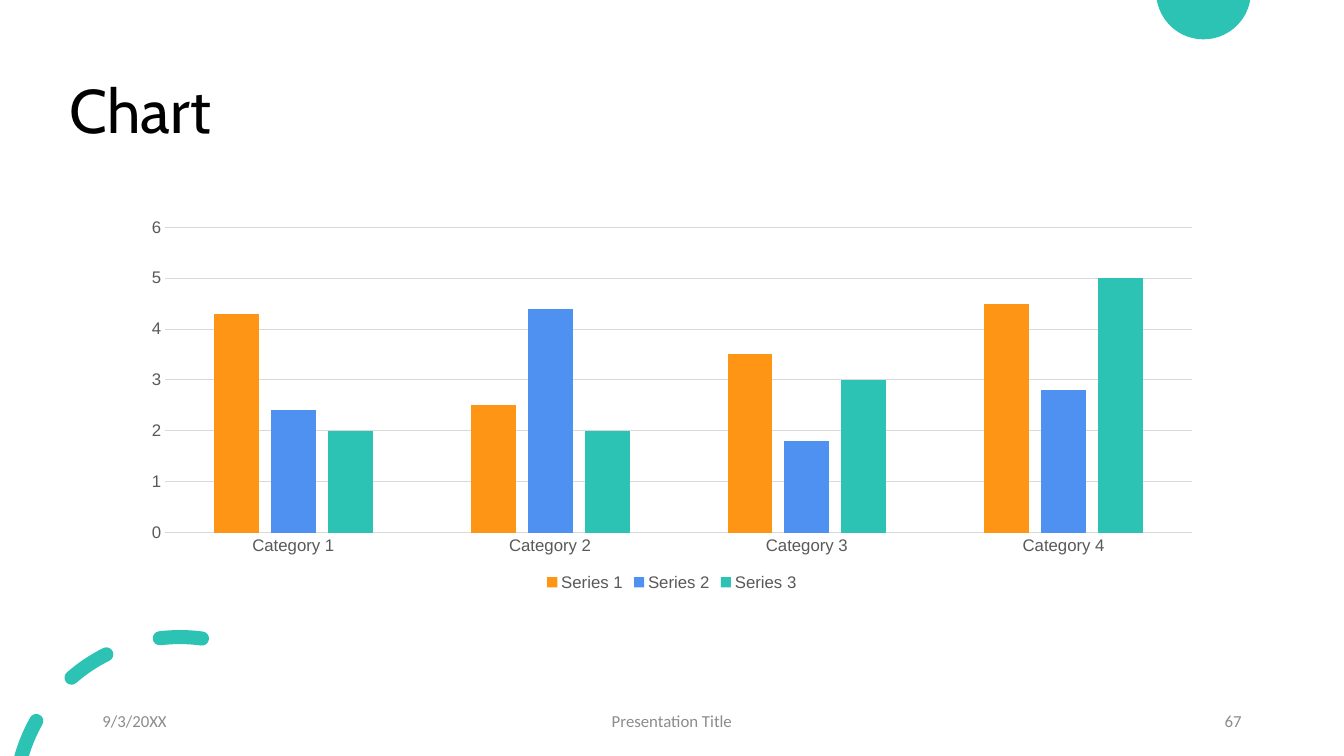
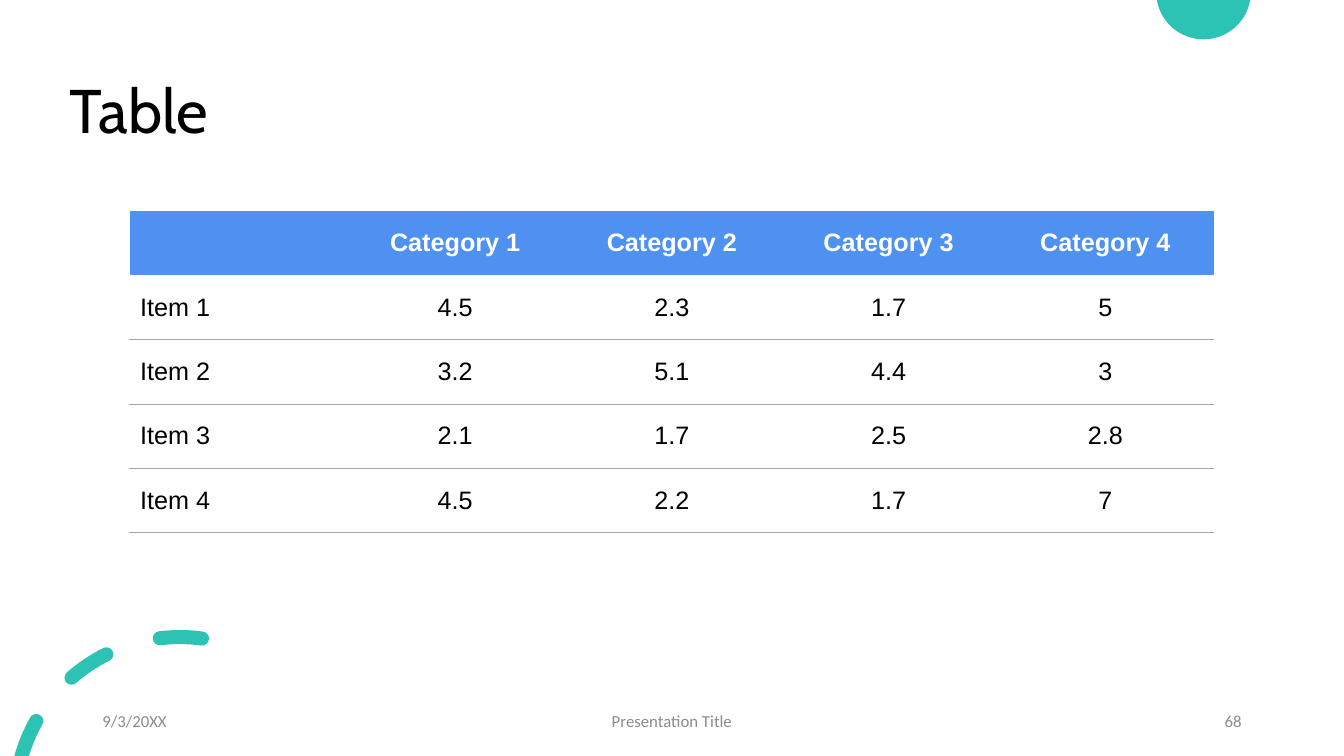
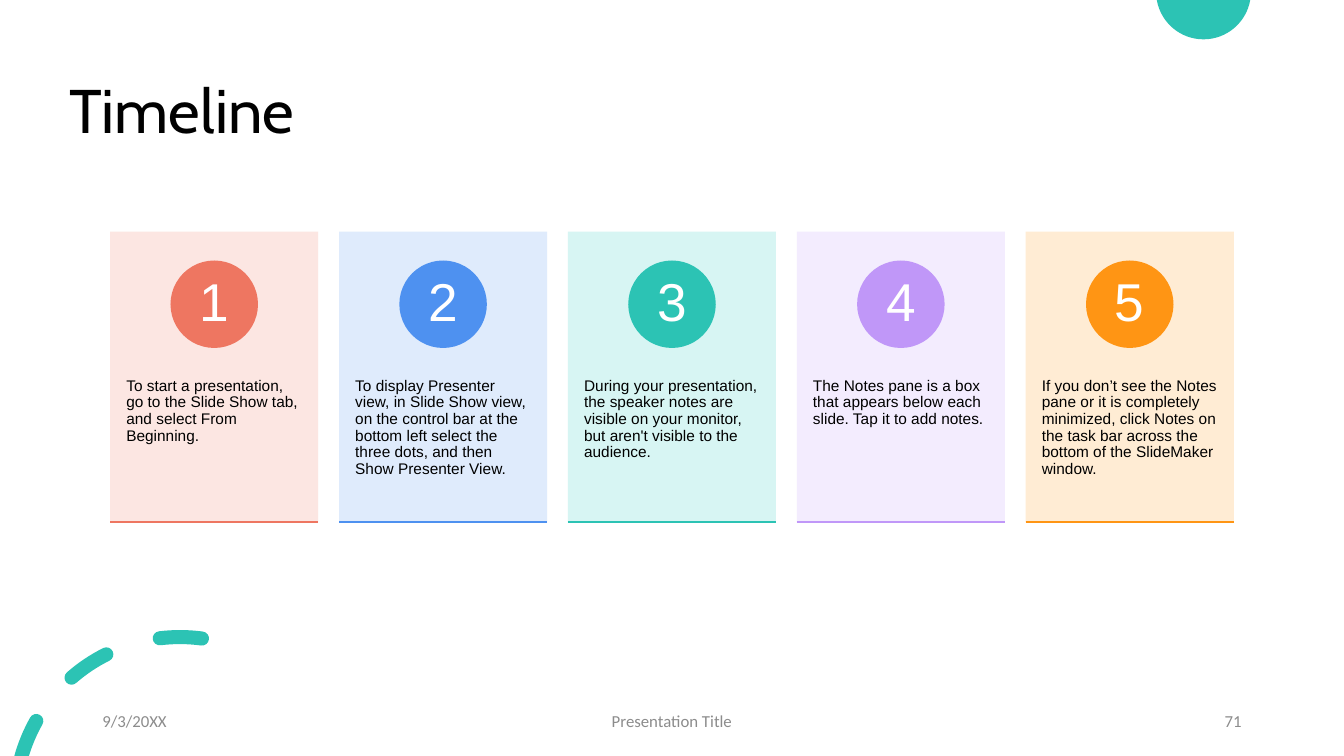
from dataclasses import dataclass
from math import acos, cos, degrees, radians, sin, tan

from lxml import etree
from pptx import Presentation
from pptx.chart.data import CategoryChartData
from pptx.dml.color import RGBColor
from pptx.enum.chart import XL_CHART_TYPE, XL_LEGEND_POSITION, XL_TICK_MARK
from pptx.enum.shapes import MSO_CONNECTOR, MSO_SHAPE
from pptx.enum.text import MSO_ANCHOR, MSO_AUTO_SIZE, PP_ALIGN
from pptx.oxml.ns import qn
from pptx.slide import Slide, SlideLayout
from pptx.text.text import Font, TextFrame
from pptx.util import Emu, Inches, Pt

LEFT, CENTER, RIGHT = PP_ALIGN.LEFT, PP_ALIGN.CENTER, PP_ALIGN.RIGHT
TOP, MIDDLE = MSO_ANCHOR.TOP, MSO_ANCHOR.MIDDLE
NO_AUTO_SIZE = MSO_AUTO_SIZE.NONE
RECTANGLE, OVAL = MSO_SHAPE.RECTANGLE, MSO_SHAPE.OVAL
STRAIGHT = MSO_CONNECTOR.STRAIGHT
CLUSTERED = XL_CHART_TYPE.COLUMN_CLUSTERED
LEGEND_BOTTOM = XL_LEGEND_POSITION.BOTTOM
NO_TICK = XL_TICK_MARK.NONE

SLIDE_HEIGHT = Inches(7.5)
SLIDE_WIDTH = Emu(SLIDE_HEIGHT * 16 // 9)
COLUMN, ROW = SLIDE_WIDTH / 100, SLIDE_HEIGHT / 100
TITLE_ONLY_LAYOUT = 5
PLAIN_TABLE_STYLE = "{2D5ABB26-0587-4C30-8999-92F81FD0307C}"

Point = tuple[float, float]


@dataclass(frozen=True)
class Theme:
    black: str = "000000"
    white: str = "FFFFFF"
    coral: str = "EE7661"
    blue: str = "4E91F0"
    teal: str = "2CC3B4"
    violet: str = "C097F8"
    orange: str = "FF9514"
    footer: str = "8C8C8C"
    chart_text: str = "595959"
    chart_line: str = "D9D9D9"
    table_line: str = "A6A6A6"
    title_font: str = "Cabin"
    body_font: str = "Arial"
    footer_font: str = "Calibri"
    title_size: float = 44
    number_size: float = 38
    table_size: float = 18
    small_size: float = 12
    card_size: float = 11
    line_spacing: float = 0.9


THEME = Theme()


@dataclass(frozen=True)
class Box:
    left: float
    top: float
    width: float
    height: float

    def emu(self) -> tuple[Emu, Emu, Emu, Emu]:
        return (
            Emu(round(self.left * COLUMN)),
            Emu(round(self.top * ROW)),
            Emu(round(self.width * COLUMN)),
            Emu(round(self.height * ROW)),
        )


@dataclass(frozen=True)
class TextStyle:
    font: str
    size: float
    color: str
    align: PP_ALIGN = LEFT
    anchor: MSO_ANCHOR = MIDDLE
    line_spacing: float = 1.0
    bold: bool = False


@dataclass(frozen=True)
class FooterItem:
    left: float
    width: float
    align: PP_ALIGN


@dataclass(frozen=True)
class Series:
    name: str
    values: tuple[float, ...]
    color: str


@dataclass(frozen=True)
class Card:
    text: str
    accent: str
    tint: str


@dataclass(frozen=True)
class Border:
    tag: str
    color: str
    width: float


TITLE_STYLE = TextStyle(
    THEME.title_font, THEME.title_size, THEME.black, line_spacing=THEME.line_spacing
)
NUMBER_STYLE = TextStyle(
    THEME.body_font, THEME.number_size, THEME.white, CENTER, line_spacing=THEME.line_spacing
)
CARD_STYLE = TextStyle(
    THEME.body_font, THEME.card_size, THEME.black, LEFT, TOP, THEME.line_spacing
)
HEADER_STYLE = TextStyle(THEME.body_font, THEME.table_size, THEME.white, CENTER, bold=True)
LABEL_STYLE = TextStyle(THEME.body_font, THEME.table_size, THEME.black)
VALUE_STYLE = TextStyle(THEME.body_font, THEME.table_size, THEME.black, CENTER)

FULL_TITLE_WIDTH = 86.25
SHORT_TITLE_WIDTH = 47.63
FOOTER_ITEMS = (
    FooterItem(6.88, 22.5, LEFT),
    FooterItem(33.12, 33.75, CENTER),
    FooterItem(70.62, 22.5, RIGHT),
)
CHART_BOX = Box(9.68, 27.87, 80.63, 50.87)
TABLE_BOX = Box(9.68, 27.9, 80.63, 42.55)
FIRST_CARD = Box(8.2, 30.63, 15.48, 38.5)
CARD_PITCH = 17.03
CIRCLE_WIDTH, CIRCLE_HEIGHT, CIRCLE_TOP = 6.51, 11.57, 34.46
NUMBER_WIDTH, NUMBER_HEIGHT = 4.6, 8.18

DISC_CENTER, DISC_RADIUS = (159.2, -1.07), 6.27
RING_CENTER, RING_RADIUS, DASH_HALF = (23.8, 106.07), 21.8, 0.93
DASH_ANGLES = ((-7.7, 7.0), (26.5, 41.1))
EDGE_DASH_START = 60.6

BODY_BORDERS = (
    Border("a:lnL", THEME.white, 1),
    Border("a:lnR", THEME.white, 1),
    Border("a:lnB", THEME.table_line, 0.25),
)
CATEGORIES = ("Category 1", "Category 2", "Category 3", "Category 4")
SERIES = (
    Series("Series 1", (4.3, 2.5, 3.5, 4.5), THEME.orange),
    Series("Series 2", (2.4, 4.4, 1.8, 2.8), THEME.blue),
    Series("Series 3", (2, 2, 3, 5), THEME.teal),
)
TABLE_ROWS = (
    ("", *CATEGORIES),
    ("Item 1", "4.5", "2.3", "1.7", "5"),
    ("Item 2", "3.2", "5.1", "4.4", "3"),
    ("Item 3", "2.1", "1.7", "2.5", "2.8"),
    ("Item 4", "4.5", "2.2", "1.7", "7"),
)
CARDS = (
    Card(
        "To start a presentation, go to the Slide Show tab, and select From Beginning.",
        THEME.coral, "FCE4DF",
    ),
    Card(
        "To display Presenter view, in Slide Show view, on the control bar at the bottom "
        "left select the three dots, and then Show Presenter View.",
        THEME.blue, "DCE9FC",
    ),
    Card(
        "During your presentation, the speaker notes are visible on your monitor, "
        "but aren't visible to the audience.",
        THEME.teal, "D3F5F2",
    ),
    Card(
        "The Notes pane is a box that appears below each slide. Tap it to add notes.",
        THEME.violet, "F2EAFE",
    ),
    Card(
        "If you don’t see the Notes pane or it is completely minimized, click Notes on "
        "the task bar across the bottom of the SlideMaker window.",
        THEME.orange, "FFEAD0",
    ),
)


def rgb(color: str) -> RGBColor:
    return RGBColor.from_string(color)


def style_font(font: Font, name: str, size: float, color: str, bold: bool = False) -> None:
    font.name, font.size, font.bold = name, Pt(size), bold
    font.color.rgb = rgb(color)


def write(frame: TextFrame, text: str, style: TextStyle) -> None:
    frame.text = text
    paragraph = frame.paragraphs[0]
    paragraph.alignment = style.align
    paragraph.line_spacing = style.line_spacing
    for run in paragraph.runs:
        style_font(run.font, style.font, style.size, style.color, style.bold)


def write_box(frame: TextFrame, text: str, style: TextStyle) -> None:
    frame.word_wrap = True
    frame.auto_size = NO_AUTO_SIZE
    frame.vertical_anchor = style.anchor
    write(frame, text, style)


def set_margins(frame: TextFrame, horizontal: float, vertical: float) -> None:
    frame.margin_left = frame.margin_right = Inches(horizontal)
    frame.margin_top = frame.margin_bottom = Inches(vertical)


def polar(center: Point, radius: float, angle: float) -> Point:
    return (
        center[0] - radius * sin(radians(angle)),
        center[1] - radius * cos(radians(angle)),
    )


def curve(center: Point, radius: float, start: float, end: float, pieces: int = 1) -> list[Point]:
    step = (end - start) / pieces
    reach = radius * 4 / 3 * tan(radians(step) / 4)
    points = []
    for index in range(pieces):
        first, last = start + index * step, start + (index + 1) * step
        arrival = polar(center, radius, last)
        points += [
            polar(polar(center, radius, first), reach, first + 90),
            polar(arrival, -reach, last + 90),
            arrival,
        ]
    return points


def edge_angle(center: Point, radius: float, edge: float) -> float:
    return degrees(acos((center[1] - edge) / radius))


def disc_outline() -> list[Point]:
    start = edge_angle(DISC_CENTER, DISC_RADIUS, 0)
    first = polar(DISC_CENTER, DISC_RADIUS, start)
    return [first, *curve(DISC_CENTER, DISC_RADIUS, start, 360 - start, 2)]


def dash_outline(start: float, outer_end: float, inner_end: float) -> list[Point]:
    inner, outer = RING_RADIUS - DASH_HALF, RING_RADIUS + DASH_HALF
    cap = polar(RING_CENTER, RING_RADIUS, start)
    return [
        polar(RING_CENTER, inner, inner_end),
        *curve(RING_CENTER, inner, inner_end, start),
        *curve(cap, DASH_HALF, start + 180, start + 360, 2),
        *curve(RING_CENTER, outer, start, outer_end),
    ]


def ring_outlines() -> list[list[Point]]:
    outlines = []
    for start, end in DASH_ANGLES:
        cap = polar(RING_CENTER, RING_RADIUS, end)
        end_cap = curve(cap, DASH_HALF, end, end + 180, 2)
        outlines.append(dash_outline(start, end, end) + end_cap)
    outer_end, inner_end = (
        edge_angle(RING_CENTER, RING_RADIUS + offset, 100) for offset in (DASH_HALF, -DASH_HALF)
    )
    return [*outlines, dash_outline(EDGE_DASH_START, outer_end, inner_end)]


def add_ornament(slide: Slide, layout: SlideLayout, outlines: list[list[Point]]) -> None:
    scaled = [[(round(x * ROW), round(y * ROW)) for x, y in outline] for outline in outlines]
    builder = slide.shapes.build_freeform(*scaled[0][0])
    for index, (first, *others) in enumerate(scaled):
        if index:
            builder.move_to(*first)
        builder.add_line_segments(others, close=True)
    shape = builder.convert_to_shape()
    segments = list(shape.element.iter(qn("a:lnTo")))
    for index in range(0, len(segments), 3):
        trio = segments[index:index + 3]
        bezier = etree.Element(qn("a:cubicBezTo"))
        trio[0].addprevious(bezier)
        for segment in trio:
            bezier.append(segment[0])
            segment.getparent().remove(segment)
    shape.shadow.inherit = False
    shape.fill.solid()
    shape.fill.fore_color.rgb = rgb(THEME.teal)
    shape.line.fill.background()
    layout.shapes.element.insert(2, shape.element)


def add_frame(slide: Slide, title: str, number: str, title_width: float = FULL_TITLE_WIDTH) -> None:
    placeholder = slide.shapes.title
    placeholder.left, placeholder.top, placeholder.width, placeholder.height = Box(
        4.43, 5.33, title_width, 19.33
    ).emu()
    write_box(placeholder.text_frame, title, TITLE_STYLE)
    for item, text in zip(FOOTER_ITEMS, ("9/3/20XX", "Presentation Title", number)):
        footer = slide.shapes.add_textbox(*Box(item.left, 92.67, item.width, 5.33).emu())
        style = TextStyle(THEME.footer_font, THEME.small_size, THEME.footer, item.align)
        write_box(footer.text_frame, text, style)


def add_column_chart(slide: Slide) -> None:
    data = CategoryChartData()
    data.categories = CATEGORIES
    for series in SERIES:
        data.add_series(series.name, series.values)
    chart = slide.shapes.add_chart(CLUSTERED, *CHART_BOX.emu(), data).chart
    style_font(chart.font, THEME.body_font, THEME.small_size, THEME.chart_text)
    chart.has_title = False
    chart.has_legend = True
    chart.legend.position = LEGEND_BOTTOM
    chart.legend.include_in_layout = False
    plot = chart.plots[0]
    plot.gap_width, plot.overlap, plot.vary_by_categories = 219, -27, False
    for drawn, series in zip(plot.series, SERIES):
        drawn.format.fill.solid()
        drawn.format.fill.fore_color.rgb = rgb(series.color)
    value_axis, category_axis = chart.value_axis, chart.category_axis
    value_axis.has_major_gridlines = True
    value_axis.format.line.fill.background()
    for axis in (value_axis, category_axis):
        axis.major_tick_mark = axis.minor_tick_mark = NO_TICK
        style_font(axis.tick_labels.font, THEME.body_font, THEME.small_size, THEME.chart_text)
    for line in (value_axis.major_gridlines.format.line, category_axis.format.line):
        line.color.rgb = rgb(THEME.chart_line)
        line.width = Pt(0.75)


def add_borders(cell_properties: etree._Element) -> None:
    for position, border in enumerate(BODY_BORDERS):
        line = etree.Element(qn(border.tag), w=str(Pt(border.width)))
        fill = etree.SubElement(line, qn("a:solidFill"))
        etree.SubElement(fill, qn("a:srgbClr"), val=border.color)
        cell_properties.insert(position, line)


def add_item_table(slide: Slide) -> None:
    column_count = len(TABLE_ROWS[0])
    graphic = slide.shapes.add_table(len(TABLE_ROWS), column_count, *TABLE_BOX.emu())
    table = graphic.table
    table.horz_banding = False
    next(graphic.element.iter(qn("a:tableStyleId"))).text = PLAIN_TABLE_STYLE
    for row_index, values in enumerate(TABLE_ROWS):
        for column_index, value in enumerate(values):
            cell = table.cell(row_index, column_index)
            cell.vertical_anchor = MIDDLE
            if row_index == 0:
                cell.fill.solid()
                cell.fill.fore_color.rgb = rgb(THEME.blue)
                style = HEADER_STYLE
            else:
                cell.fill.background()
                style = VALUE_STYLE if column_index else LABEL_STYLE
            write(cell.text_frame, value, style)
    for cell_properties in list(graphic.element.iter(qn("a:tcPr")))[column_count:]:
        add_borders(cell_properties)


def add_card(slide: Slide, index: int, card: Card) -> None:
    left = FIRST_CARD.left + index * CARD_PITCH
    box = Box(left, FIRST_CARD.top, FIRST_CARD.width, FIRST_CARD.height)
    circle_left = left + (box.width - CIRCLE_WIDTH) / 2
    circle_box = Box(circle_left, CIRCLE_TOP, CIRCLE_WIDTH, CIRCLE_HEIGHT)
    number_left = left + (box.width - NUMBER_WIDTH) / 2
    number_top = CIRCLE_TOP + (CIRCLE_HEIGHT - NUMBER_HEIGHT) / 2
    number_box = Box(number_left, number_top, NUMBER_WIDTH, NUMBER_HEIGHT)
    shapes = slide.shapes.add_group_shape().shapes

    panel = shapes.add_shape(RECTANGLE, *box.emu())
    description = shapes.add_textbox(*Box(left, 45.2, box.width, 23.07).emu())
    circle = shapes.add_shape(OVAL, *circle_box.emu())
    number = shapes.add_textbox(*number_box.emu())
    for shape, color in ((panel, card.tint), (circle, card.accent)):
        shape.shadow.inherit = False
        shape.fill.solid()
        shape.fill.fore_color.rgb = rgb(color)
        shape.line.fill.background()
    tint = next(panel.element.iter(qn("a:srgbClr")))
    etree.SubElement(tint, qn("a:alpha"), val="90000")
    set_margins(description.text_frame, 0.16, 0.36)
    write_box(description.text_frame, card.text, CARD_STYLE)
    set_margins(number.text_frame, 0.07, 0.01)
    write_box(number.text_frame, str(index + 1), NUMBER_STYLE)

    x, y, width, _ = Box(left, 69.07, box.width, 0).emu()
    baseline = shapes.add_connector(STRAIGHT, x, y, x + width, y)
    baseline.line.color.rgb = rgb(card.accent)
    baseline.line.width = Pt(1)
    etree.SubElement(baseline.element.spPr, qn("a:effectLst"))


def main() -> None:
    presentation = Presentation()
    presentation.slide_width, presentation.slide_height = SLIDE_WIDTH, SLIDE_HEIGHT
    layout = presentation.slide_layouts[TITLE_ONLY_LAYOUT]
    chart_slide, table_slide, timeline_slide = (
        presentation.slides.add_slide(layout) for _ in range(3)
    )
    for outlines in (ring_outlines(), [disc_outline()]):
        add_ornament(chart_slide, layout, outlines)

    add_frame(chart_slide, "Chart", "67", SHORT_TITLE_WIDTH)
    add_column_chart(chart_slide)
    add_frame(table_slide, "Table", "68")
    add_item_table(table_slide)
    add_frame(timeline_slide, "Timeline", "71")
    for index, card in enumerate(CARDS):
        add_card(timeline_slide, index, card)
    presentation.save("out.pptx")


if __name__ == "__main__":
    main()
